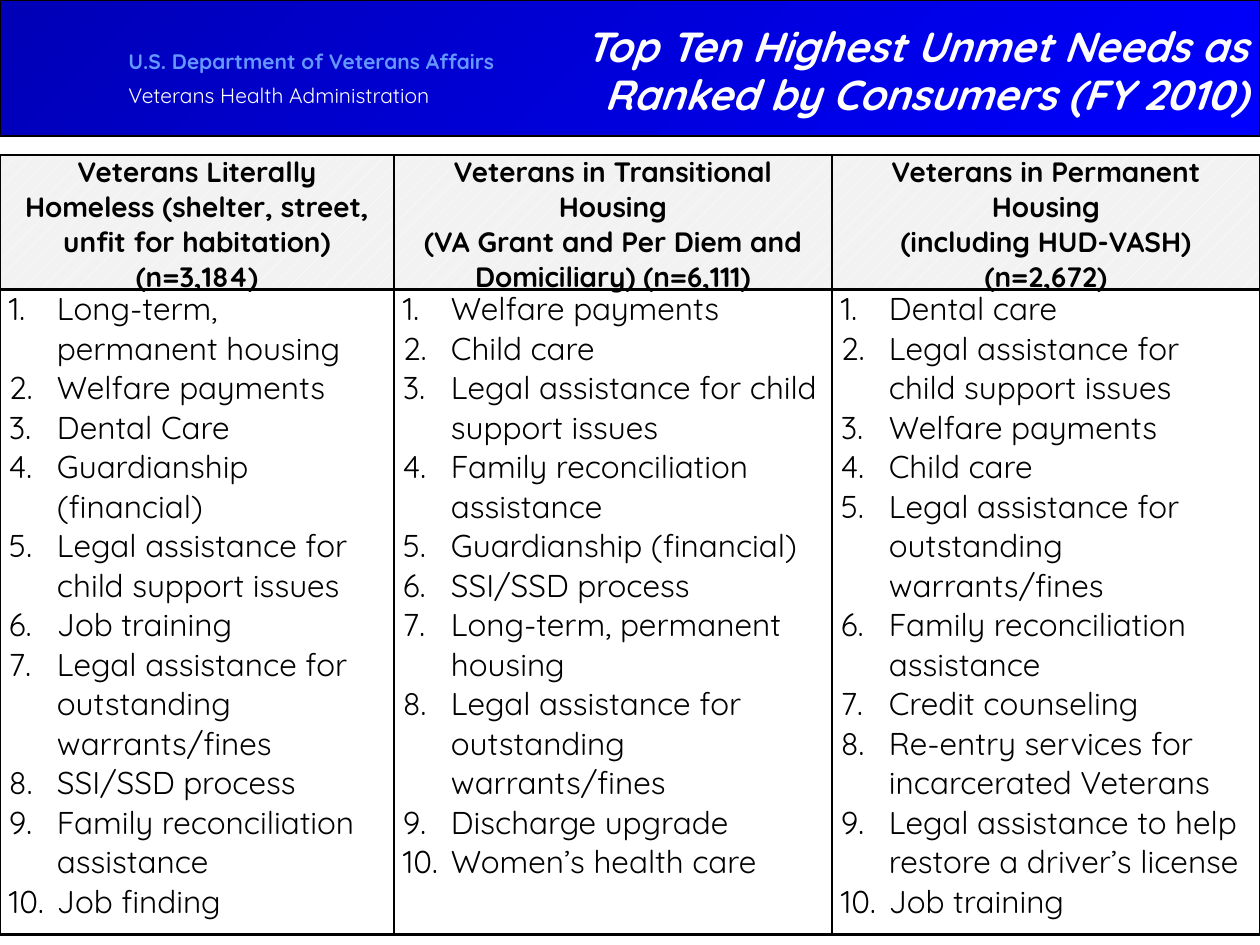
from dataclasses import dataclass

from lxml import etree
from pptx import Presentation
from pptx.dml.color import RGBColor
from pptx.enum.dml import MSO_PATTERN
from pptx.enum.shapes import MSO_SHAPE
from pptx.enum.text import MSO_ANCHOR, PP_ALIGN
from pptx.oxml.ns import qn
from pptx.util import Emu, Pt

PX = 914400 // 126
RECTANGLE = MSO_SHAPE.RECTANGLE
DOTTED = MSO_PATTERN.PERCENT_5
MIDDLE = MSO_ANCHOR.MIDDLE
CENTER, RIGHT = PP_ALIGN.CENTER, PP_ALIGN.RIGHT
TITLE_ONLY = 5


@dataclass(frozen=True)
class Theme:
    font: str = "Quicksand"
    black: str = "000000"
    white: str = "FFFFFF"
    banner_start: str = "0000B6"
    banner_end: str = "0000FF"
    agency: str = "6699FF"
    header_fill: str = "F2F2F2"
    caption_size: int = 12
    header_size: int = 16
    list_size: int = 18
    title_size: int = 24
    border: float = 1.5
    banner_border: float = 0.75


COLUMN_WIDTHS = [394, 438, 428]
ROW_HEIGHTS = [107, 645]
TABLE_HEIGHT = 779

HEADERS = [
    ["Veterans Literally Homeless (shelter, street, unfit for habitation) (n=3,184)"],
    ["Veterans in Transitional Housing",
     "(VA Grant and Per Diem and Domiciliary) (n=6,111)"],
    ["Veterans in Permanent Housing", "(including HUD-VASH) (n=2,672)"],
]
NEEDS = [
    ["Long-term, permanent housing", "Welfare payments", "Dental Care",
     "Guardianship (financial)", "Legal assistance for child support issues",
     "Job training", "Legal assistance for outstanding warrants/fines",
     "SSI/SSD process", "Family reconciliation assistance", "Job finding"],
    ["Welfare payments", "Child care", "Legal assistance for child support issues",
     "Family reconciliation assistance", "Guardianship (financial)",
     "SSI/SSD process", "Long-term, permanent housing",
     "Legal assistance for outstanding warrants/fines", "Discharge upgrade",
     "Women’s health care"],
    ["Dental care", "Legal assistance for child support issues",
     "Welfare payments", "Child care",
     "Legal assistance for outstanding warrants/fines",
     "Family reconciliation assistance", "Credit counseling",
     "Re-entry services for incarcerated Veterans",
     "Legal assistance to help restore a driver’s license", "Job training"],
]


def px(value):
    return Emu(value * PX)


def rgb(value):
    return RGBColor.from_string(value)


class SlideBuilder:
    def __init__(self, slide, theme):
        self.slide = slide
        self.theme = theme

    def style(self, paragraph, size, color, bold=False, italic=False):
        font = paragraph.font
        font.name, font.size = self.theme.font, Pt(size)
        font.bold, font.italic = bold, italic
        font.color.rgb = rgb(color)

    def paragraphs(self, frame, lines):
        """Fill the frame with one paragraph per line and yield each one."""
        for index, line in enumerate(lines):
            paragraph = frame.add_paragraph() if index else frame.paragraphs[0]
            paragraph.text = line
            yield paragraph

    def banner(self, left, top, width, height):
        shape = self.slide.shapes.add_shape(
            RECTANGLE, px(left), px(top), px(width), px(height))
        shape.shadow.inherit = False
        shape.fill.gradient()
        shape.fill.gradient_angle = 315
        colors = (self.theme.banner_start, self.theme.banner_end)
        for stop, color in zip(shape.fill.gradient_stops, colors):
            stop.color.rgb = rgb(color)
        shape.line.color.rgb = rgb(self.theme.black)
        shape.line.width = Pt(self.theme.banner_border)
        # The banner goes behind the title placeholder.
        self.slide.shapes._spTree.insert(2, shape._element)

    def agency(self, left, top, width, height, name, branch):
        box = self.slide.shapes.add_textbox(px(left), px(top), px(width), px(height))
        box.text_frame.word_wrap = True
        first, second = self.paragraphs(box.text_frame, [name, branch])
        self.style(first, self.theme.caption_size, self.theme.agency, bold=True)
        self.style(second, self.theme.caption_size, self.theme.white)
        second.space_before = Pt(5)

    def title(self, left, top, width, height, text):
        title = self.slide.shapes.title
        title.left, title.top = px(left), px(top)
        title.width, title.height = px(width), px(height)
        frame = title.text_frame
        frame.word_wrap = True
        frame.vertical_anchor = MIDDLE
        for paragraph in self.paragraphs(frame, [text]):
            paragraph.alignment = RIGHT
            paragraph.line_spacing = 0.95
            self.style(paragraph, self.theme.title_size, self.theme.white,
                       bold=True, italic=True)

    def table(self, left, top, widths, heights, total_height):
        graphic = self.slide.shapes.add_table(
            len(heights), len(widths), px(left), px(top),
            px(sum(widths)), px(total_height))
        table = graphic.table
        table.first_row = table.horz_banding = False
        for column, width in zip(table.columns, widths):
            column.width = px(width)
        for row, height in zip(table.rows, heights):
            row.height = px(height)
        graphic.height = px(total_height)
        for cell in table.iter_cells():
            cell.margin_left = cell.margin_right = px(9)
            cell.margin_top = cell.margin_bottom = 0
            self.borders(cell)
        return table

    def borders(self, cell):
        properties = cell._tc.get_or_add_tcPr()
        for side in ("a:lnL", "a:lnR", "a:lnT", "a:lnB"):
            line = etree.SubElement(properties, qn(side), w=str(Pt(self.theme.border)))
            fill = etree.SubElement(line, qn("a:solidFill"))
            etree.SubElement(fill, qn("a:srgbClr"), val=self.theme.black)

    def header_cell(self, cell, lines):
        cell.fill.patterned()
        cell.fill.pattern = DOTTED
        cell.fill.fore_color.rgb = rgb(self.theme.white)
        cell.fill.back_color.rgb = rgb(self.theme.header_fill)
        for paragraph in self.paragraphs(cell.text_frame, lines):
            paragraph.alignment = CENTER
            self.style(paragraph, self.theme.header_size, self.theme.black, bold=True)

    def numbered_cell(self, cell, items):
        cell.fill.background()
        indent = px(48)
        for paragraph in self.paragraphs(cell.text_frame, items):
            properties = paragraph._p.get_or_add_pPr()
            properties.set("marL", str(indent))
            properties.set("indent", str(-indent))
            etree.SubElement(properties, qn("a:buFont"), typeface=self.theme.font)
            etree.SubElement(properties, qn("a:buAutoNum"), type="arabicPeriod")
            self.style(paragraph, self.theme.list_size, self.theme.black)


def main():
    presentation = Presentation()
    presentation.slide_width, presentation.slide_height = px(1260), px(945)
    slide = presentation.slides.add_slide(presentation.slide_layouts[TITLE_ONLY])
    builder = SlideBuilder(slide, Theme())

    builder.banner(0, 0, 1260, 136)
    builder.agency(116, 42, 504, 76, "U.S. Department of Veterans Affairs",
                   "Veterans Health Administration")
    builder.title(494, 15, 766, 115,
                  "Top Ten Highest Unmet Needs as Ranked by Consumers (FY 2010)")

    table = builder.table(0, 155, COLUMN_WIDTHS, ROW_HEIGHTS, TABLE_HEIGHT)
    for column, (header, needs) in enumerate(zip(HEADERS, NEEDS)):
        builder.header_cell(table.cell(0, column), header)
        builder.numbered_cell(table.cell(1, column), needs)

    presentation.save("out.pptx")


if __name__ == "__main__":
    main()
